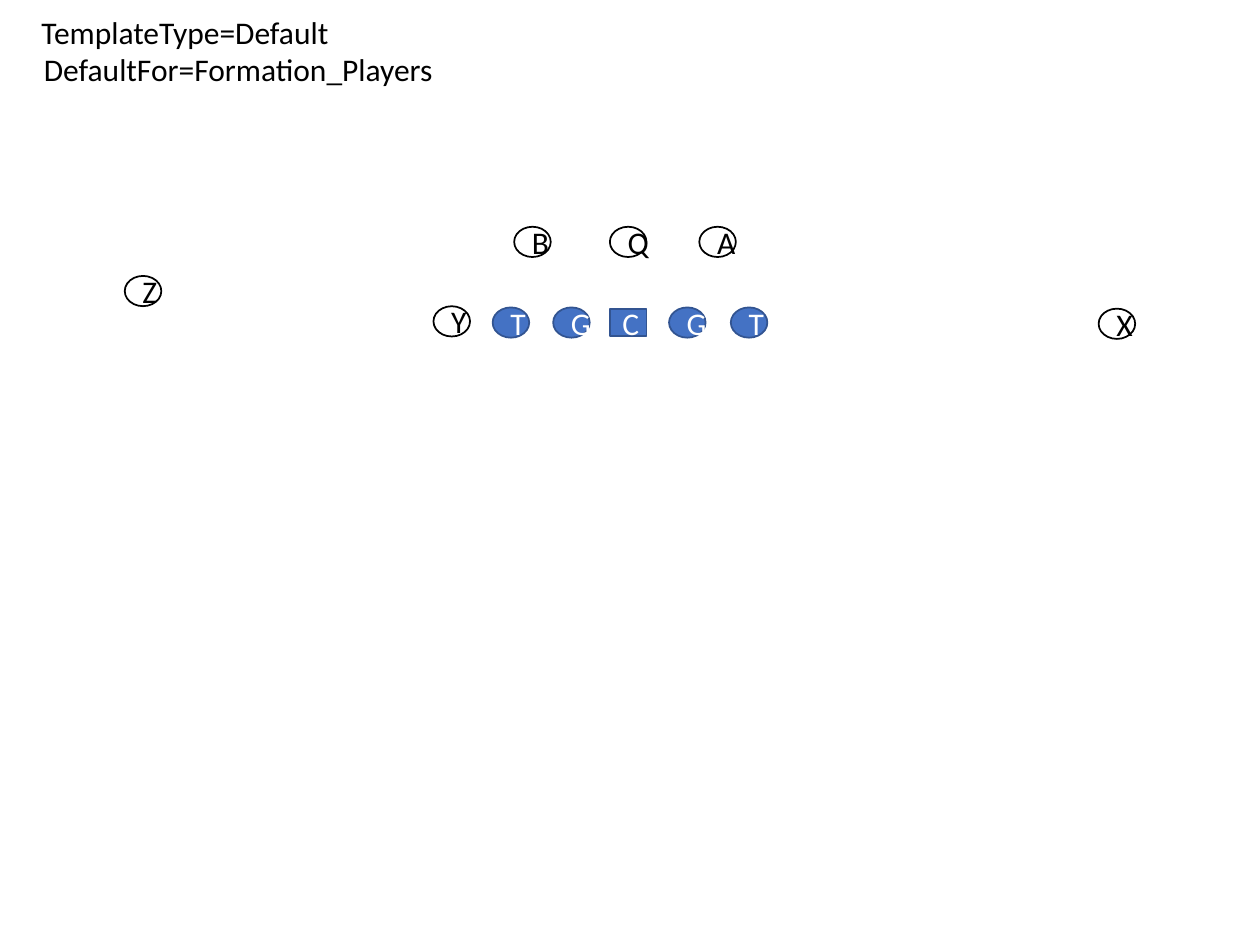
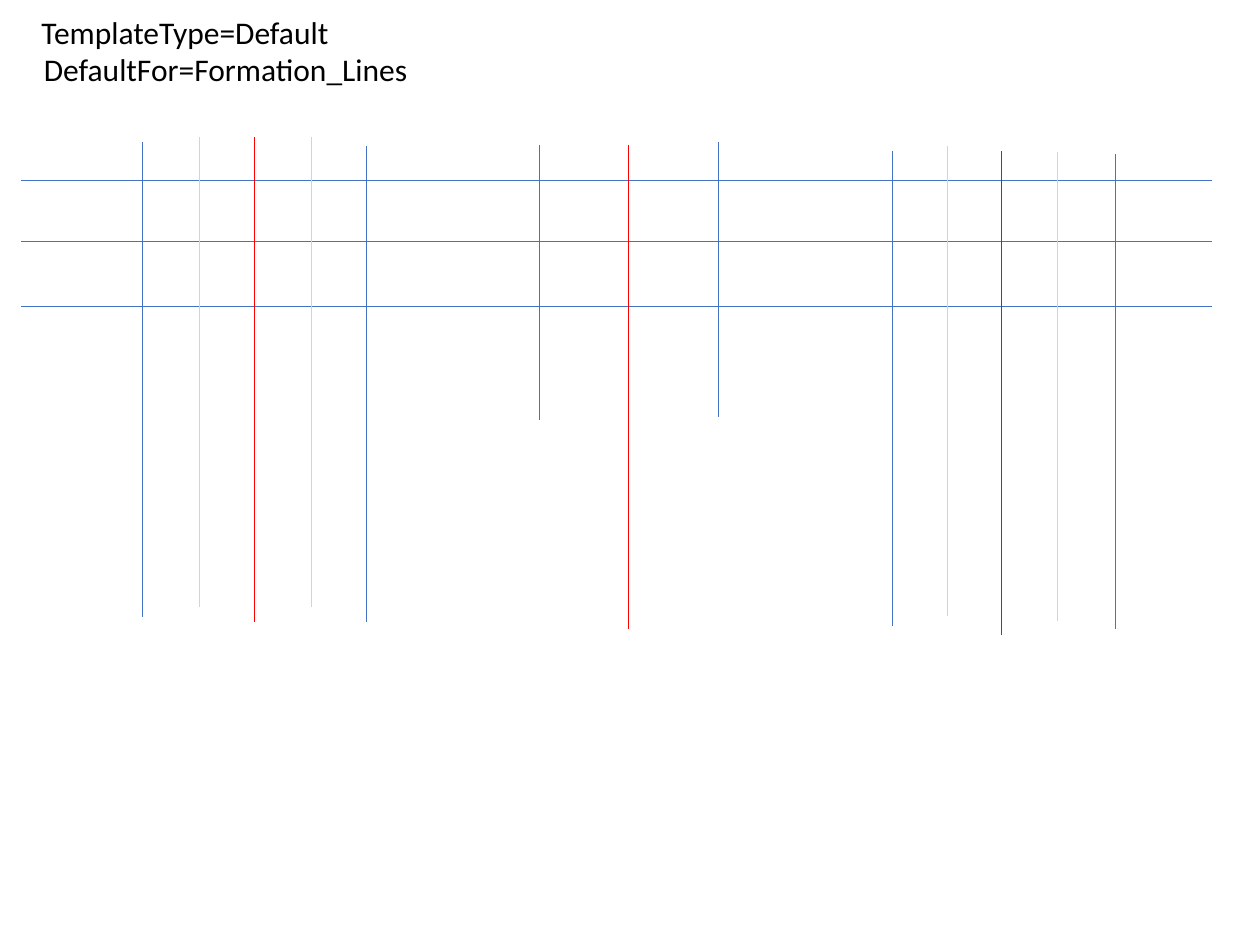
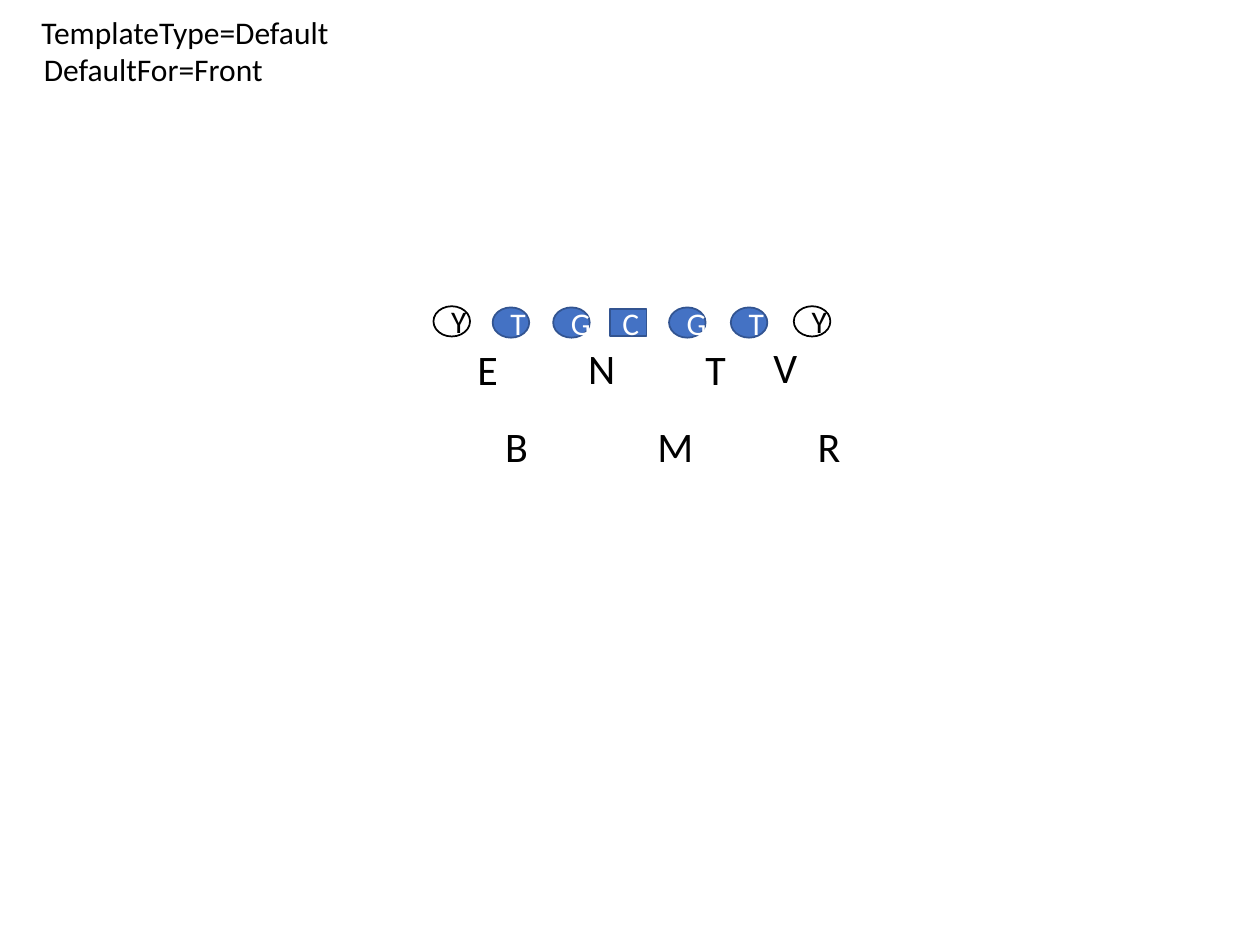
from typing import NamedTuple

from lxml.etree import SubElement
from pptx import Presentation
from pptx.dml.color import RGBColor
from pptx.enum.shapes import MSO_CONNECTOR, MSO_SHAPE
from pptx.enum.text import MSO_ANCHOR, MSO_AUTO_SIZE, PP_ALIGN
from pptx.oxml.ns import qn
from pptx.util import Pt

BLUE, NAVY, RED, GREEN = "4472C4", "325491", "FF0000", "C5E0B4"
BLACK, WHITE = "000000", "FFFFFF"

PLAYER_W, PLAYER_H, CENTER_H = 20.9, 17.3, 15.8
LINE_Y, BACK_Y, END_Y = 175.7, 129.6, 175
FIELD_LEFT, FIELD_RIGHT = 12.2, 692.6


class Style(NamedTuple):
    fill: str
    line: str
    text: str


LINEMAN = Style(BLUE, NAVY, WHITE)
SKILL = Style(WHITE, BLACK, BLACK)


class Player(NamedTuple):
    name: str
    x: float
    y: float
    style: Style = SKILL
    height: float = PLAYER_H
    shape: MSO_SHAPE = MSO_SHAPE.OVAL


class Label(NamedTuple):
    text: str
    x: float
    y: float
    width: float
    height: float = 36
    size: float = 24


class FieldLine(NamedTuple):
    x1: float
    y1: float
    x2: float
    y2: float
    color: str = BLUE


# Offensive line, shared by the players and front slides
OFFENSIVE_LINE = [
    Player("C", 348.5, 176.4, LINEMAN, CENTER_H, MSO_SHAPE.RECTANGLE),
    *(Player(name, x, LINE_Y, LINEMAN)
      for name, x in [("G", 316.1), ("G", 382.3), ("T", 417.6), ("T", 281.5)]),
]
LEFT_END = Player("Y", 247.7, END_Y)
RIGHT_END = Player("Y", 453.6, END_Y)

SKILL_PLAYERS = [
    Player("B", 293.8, BACK_Y),
    Player("Z", 71.3, 157.7),
    Player("Q", 348.5, BACK_Y),
    Player("A", 399.6, BACK_Y),
    Player("X", 627.8, 176.4),
    LEFT_END,
]

# Depth lines across the field, then lines down it: x, top, bottom, colour
DEPTHS = [103, 138.2, 175]
DOWNFIELD = [
    (410.4, 81.4, 238.3, BLUE),
    (308.2, 82.8, 239.8, BLUE),
    (81.4, 81.4, 352.8, BLUE),
    (637.2, 87.8, 359.3, BLUE),
    (209.5, 83.5, 355.7, BLUE),
    (145.4, 78.5, 355.7, RED),
    (572.4, 86.4, 362.9, RED),
    (541.4, 83.5, 352.1, GREEN),
    (359.3, 82.8, 359.3, RED),
    (509.8, 86.4, 357.8, BLUE),
    (604.1, 87.1, 355, GREEN),
    (177.8, 78.5, 347, GREEN),
    (113.8, 78.5, 347, GREEN),
]
FIELD_LINES = [
    *(FieldLine(FIELD_RIGHT, y, FIELD_LEFT, y) for y in DEPTHS),
    *(FieldLine(x, top, x, bottom, color) for x, top, bottom, color in DOWNFIELD),
]

LINEBACKER_Y = 236.9
DEFENDERS = [
    Label("N", 329, 192.2, 30.2),
    Label("T", 396, 193, 26.6),
    Label("V", 434.9, 191.5, 28.1),
    Label("E", 265.7, 193, 26.6),
    Label("B", 281.5, LINEBACKER_Y, 27.4),
    Label("M", 368.6, LINEBACKER_Y, 35.3),
    Label("R", 460.1, LINEBACKER_Y, 27.4),
]


def rgb(color: str) -> RGBColor:
    return RGBColor.from_string(color)


def write(p, text: str, size: float, color: str) -> None:
    r = p.add_run()
    r.text = text
    for name, value in {"name": "Calibri", "size": Pt(size)}.items():
        setattr(r.font, name, value)
    r.font.color.rgb = rgb(color)


def draw_player(s, player: Player) -> None:
    sp = s.shapes.add_shape(player.shape, Pt(player.x), Pt(player.y),
                            Pt(PLAYER_W), Pt(player.height))
    sp.shadow.inherit = False
    sp.fill.solid()
    sp.fill.fore_color.rgb = rgb(player.style.fill)
    sp.line.color.rgb = rgb(player.style.line)
    sp.line.width = Pt(1)
    tf = sp.text_frame
    tf.vertical_anchor = MSO_ANCHOR.MIDDLE
    p = tf.paragraphs[0]
    p.alignment = PP_ALIGN.CENTER
    write(p, player.name, 18, player.style.text)


def draw_label(s, label: Label) -> None:
    sp = s.shapes.add_textbox(Pt(label.x), Pt(label.y),
                              Pt(label.width), Pt(label.height))
    tf = sp.text_frame
    for name, value in {"word_wrap": False,
                        "auto_size": MSO_AUTO_SIZE.SHAPE_TO_FIT_TEXT}.items():
        setattr(tf, name, value)
    write(tf.paragraphs[0], label.text, label.size, BLACK)


def draw_line(s, line: FieldLine) -> None:
    cx = s.shapes.add_connector(MSO_CONNECTOR.STRAIGHT, Pt(line.x1), Pt(line.y1),
                                Pt(line.x2), Pt(line.y2))
    cx.line.color.rgb = rgb(line.color)
    cx.line.width = Pt(0.5)
    SubElement(cx._element.spPr, qn("a:effectLst"))


def add_template(prs, default_for: str, width: float):
    """Add a blank slide headed by the two template settings."""
    s = prs.slides.add_slide(prs.slide_layouts[6])
    draw_label(s, Label(f"DefaultFor={default_for}", 18, 25.2, width, 29, 18))
    draw_label(s, Label("TemplateType=Default", 16.6, 3.6, 180.7, 29, 18))
    return s


def main() -> None:
    prs = Presentation()
    prs.slide_width, prs.slide_height = Pt(720), Pt(540)

    # Formation players
    s = add_template(prs, "Formation_Players", 239)
    for player in OFFENSIVE_LINE + SKILL_PLAYERS:
        draw_player(s, player)

    # Formation lines
    s = add_template(prs, "Formation_Lines", 224.6)
    for line in FIELD_LINES:
        draw_line(s, line)

    # Defensive front
    s = add_template(prs, "Front", 141.1)
    for player in OFFENSIVE_LINE + [LEFT_END, RIGHT_END]:
        draw_player(s, player)
    for label in DEFENDERS:
        draw_label(s, label)

    prs.save("out.pptx")


if __name__ == "__main__":
    main()
